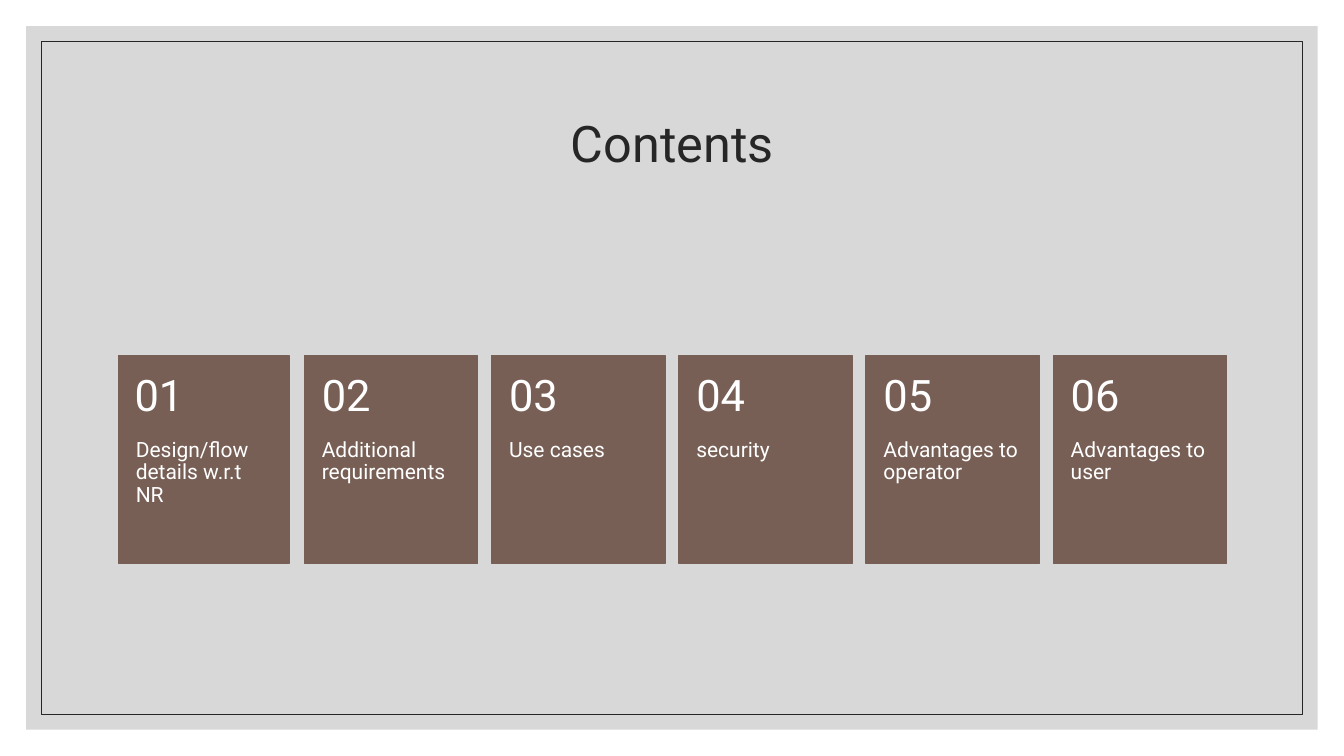
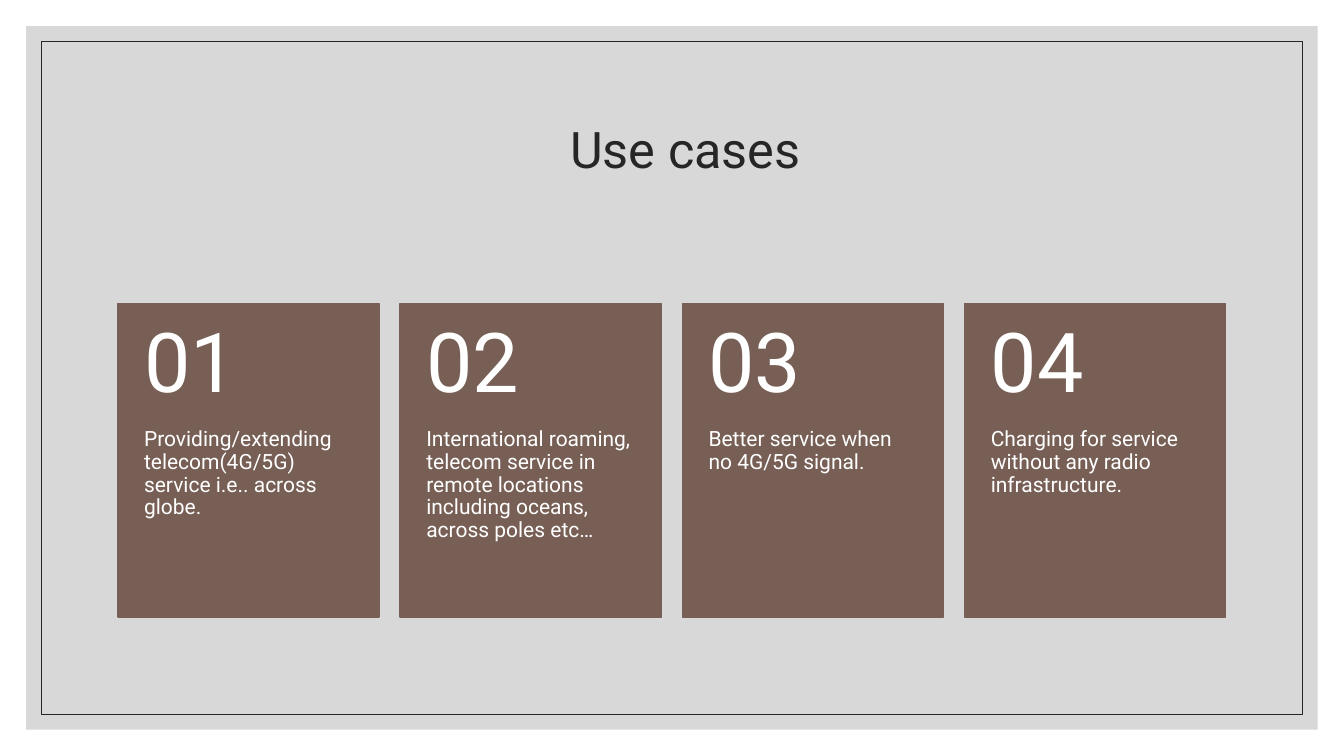
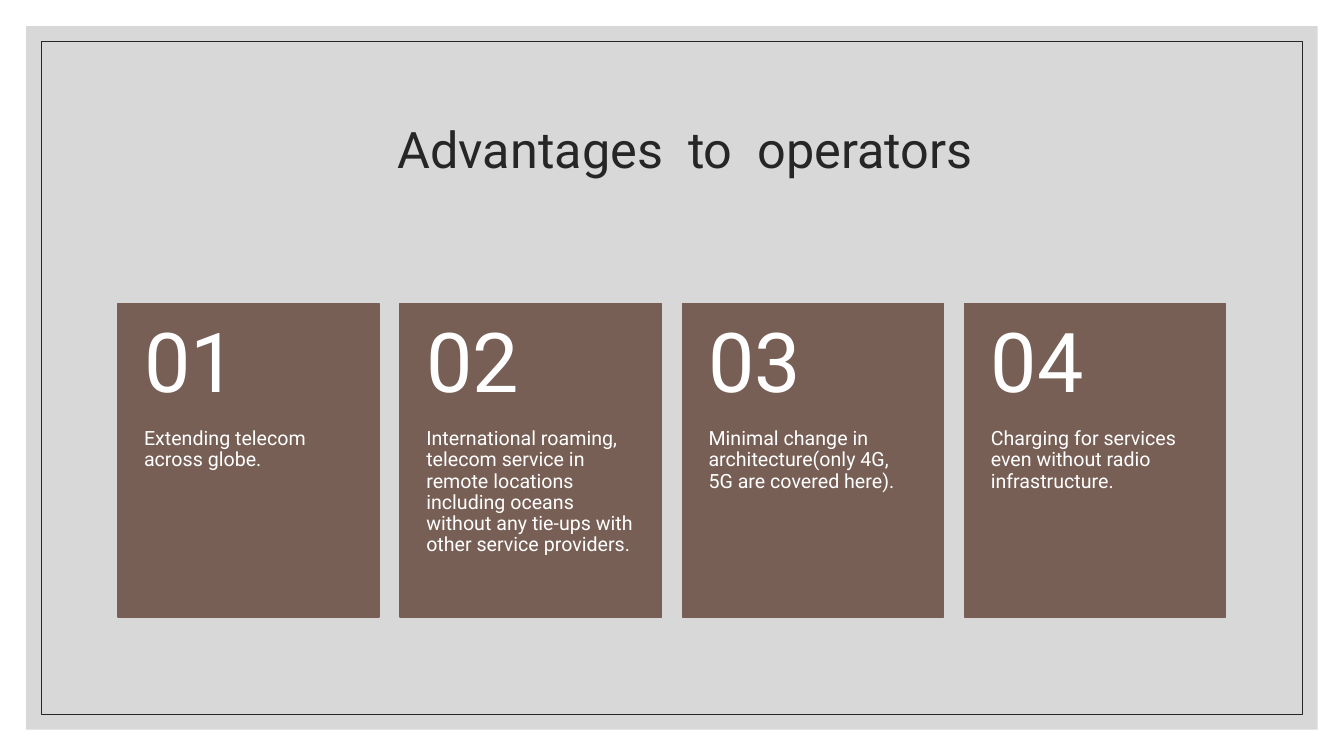
from lxml.etree import SubElement
from pptx import Presentation
from pptx.dml.color import RGBColor
from pptx.enum.shapes import MSO_SHAPE as Shape
from pptx.enum.text import MSO_ANCHOR as Anchor, MSO_AUTO_SIZE as AutoSize, PP_ALIGN as Align
from pptx.oxml.ns import qn
from pptx.util import Pt

COLORS = {
    "panel": "BFBFBF",
    "ink": "262626",
    "card": "775F55",
    "card_text": "FFFFFF",
}
FONT = "Roboto"
SLIDE_WIDTH, SLIDE_HEIGHT = 960, 540
LINE_SPACING = 0.9
NUMBER_SHARE = 0.4
SIDE_INSET_SHARE = 0.1

CONTENTS_GRID = {
    "left": 83.74, "top": 254.16, "width": 123.84, "height": 148.32,
    "pitch": 133.74, "number_size": 31, "first_trim": 1.1,
}
TOPIC_GRID = {
    "left": 84.24, "top": 216.72, "width": 186.48, "height": 223.92,
    "pitch": 201.6, "number_size": 59, "first_trim": 0,
}


def color(name):
    return RGBColor.from_string(COLORS[name])


def add_rect(slide, left, top, width, height, fill=None, line=None, line_width=1):
    rect = slide.shapes.add_shape(Shape.RECTANGLE, Pt(left), Pt(top), Pt(width), Pt(height))
    rect.shadow.inherit = False
    if fill:
        rect.fill.solid()
        rect.fill.fore_color.rgb = color(fill)
    else:
        rect.fill.background()
    if line:
        rect.line.color.rgb = color(line)
        rect.line.width = Pt(line_width)
    else:
        rect.line.fill.background()
    return rect


def add_centered_rect(slide, margin, **style):
    return add_rect(slide, margin, margin, SLIDE_WIDTH - 2 * margin,
                    SLIDE_HEIGHT - 2 * margin, **style)


def set_opacity(shape, percent):
    tint = shape.element.spPr.find(qn("a:solidFill"))[0]
    SubElement(tint, qn("a:alpha")).set("val", str(percent * 1000))


def add_frame_to_layout(slide):
    panel = add_centered_rect(slide, 18.72, fill="panel")
    set_opacity(panel, 60)
    border = add_centered_rect(slide, 29.52, line="ink", line_width=0.5)
    layout_tree = slide.slide_layout.shapes.element
    layout_tree.insert(2, panel.element)
    layout_tree.insert(3, border.element)


def style_text(frame, text, size, ink, anchor, align=Align.LEFT):
    frame.text = text
    frame.word_wrap = True
    frame.auto_size = AutoSize.NONE
    frame.vertical_anchor = anchor
    paragraph = frame.paragraphs[0]
    paragraph.alignment = align
    paragraph.line_spacing = LINE_SPACING
    paragraph.font.name = FONT
    paragraph.font.size = Pt(size)
    paragraph.font.color.rgb = color(ink)


def add_titled_slide(deck, text, left, top):
    slide = deck.slides.add_slide(deck.slide_layouts[5])
    title = slide.shapes.title
    title.left, title.top, title.width, title.height = Pt(left), Pt(top), Pt(792), Pt(108)
    style_text(title.text_frame, text, 36, "ink", Anchor.MIDDLE, Align.CENTER)
    return slide


def add_card_text(slide, text, left, top, width, height, size, anchor, inset_top, inset_bottom):
    box = slide.shapes.add_textbox(Pt(left), Pt(top), Pt(width), Pt(height))
    frame = box.text_frame
    frame.margin_left = frame.margin_right = Pt(width * SIDE_INSET_SHARE)
    frame.margin_top, frame.margin_bottom = Pt(inset_top), Pt(inset_bottom)
    style_text(frame, text, size, "card_text", anchor)


def add_cards(slide, captions, grid, caption_size):
    top, width, height = grid["top"], grid["width"], grid["height"]
    number_height = height * NUMBER_SHARE
    for index, caption in enumerate(captions):
        left = grid["left"] + index * grid["pitch"]
        trim = 0 if index else grid["first_trim"]
        card_left, card_width = left + trim, width - 2 * trim
        add_rect(slide, card_left, top, card_width, height, fill="card", line="card")
        add_card_text(slide, caption, card_left, top + number_height, card_width,
                      height - number_height, caption_size, Anchor.TOP, 0, 25.92)
        add_card_text(slide, f"{index + 1:02}", left, top, width, number_height,
                      grid["number_size"], Anchor.MIDDLE, 12.96, 12.96)


def main():
    deck = Presentation()
    deck.slide_width, deck.slide_height = Pt(SLIDE_WIDTH), Pt(SLIDE_HEIGHT)

    contents = add_titled_slide(deck, "Contents", 84.24, 50.4)
    add_frame_to_layout(contents)
    add_cards(contents, [
        "Design/flow details w.r.t NR",
        "Additional requirements",
        "Use cases",
        "security",
        "Advantages to operator",
        "Advantages to user",
    ], CONTENTS_GRID, 15)

    use_cases = add_titled_slide(deck, "Use cases", 93.6, 54.72)
    add_cards(use_cases, [
        "Providing/extending telecom(4G/5G) service i.e.. across globe.",
        "International roaming, telecom service in remote locations including oceans, "
        "across poles etc…",
        "Better service when no 4G/5G signal.",
        "Charging for service without any radio infrastructure.",
    ], TOPIC_GRID, 15)

    advantages = add_titled_slide(deck, "Advantages  to  operators", 93.6, 54.72)
    add_cards(advantages, [
        "Extending telecom across globe.",
        "International roaming, telecom service in remote locations including oceans "
        "without any tie-ups with other service providers.",
        "Minimal change in architecture(only 4G, 5G are covered here).",
        "Charging for services even without radio infrastructure.",
    ], TOPIC_GRID, 14)

    deck.save("out.pptx")


if __name__ == "__main__":
    main()
